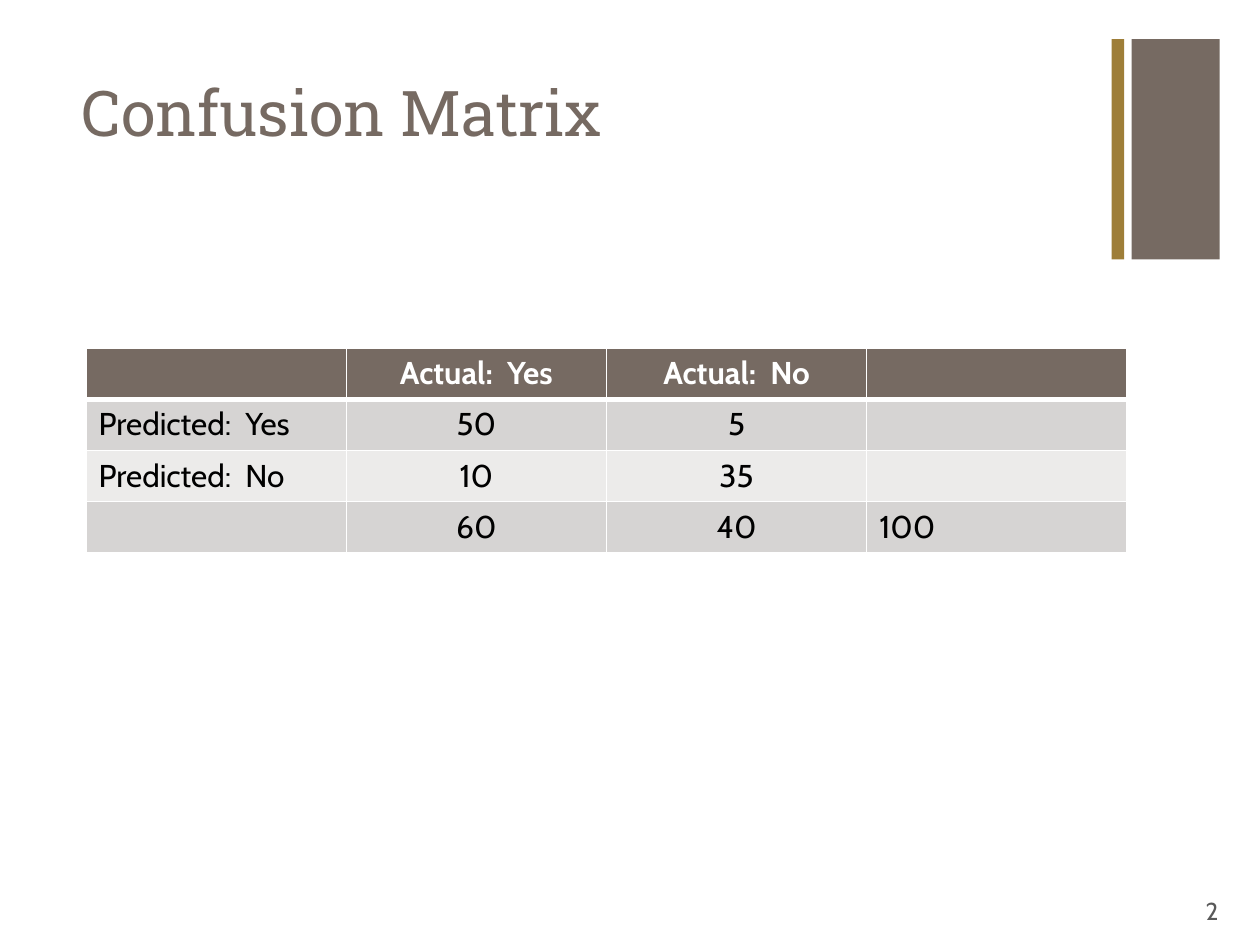
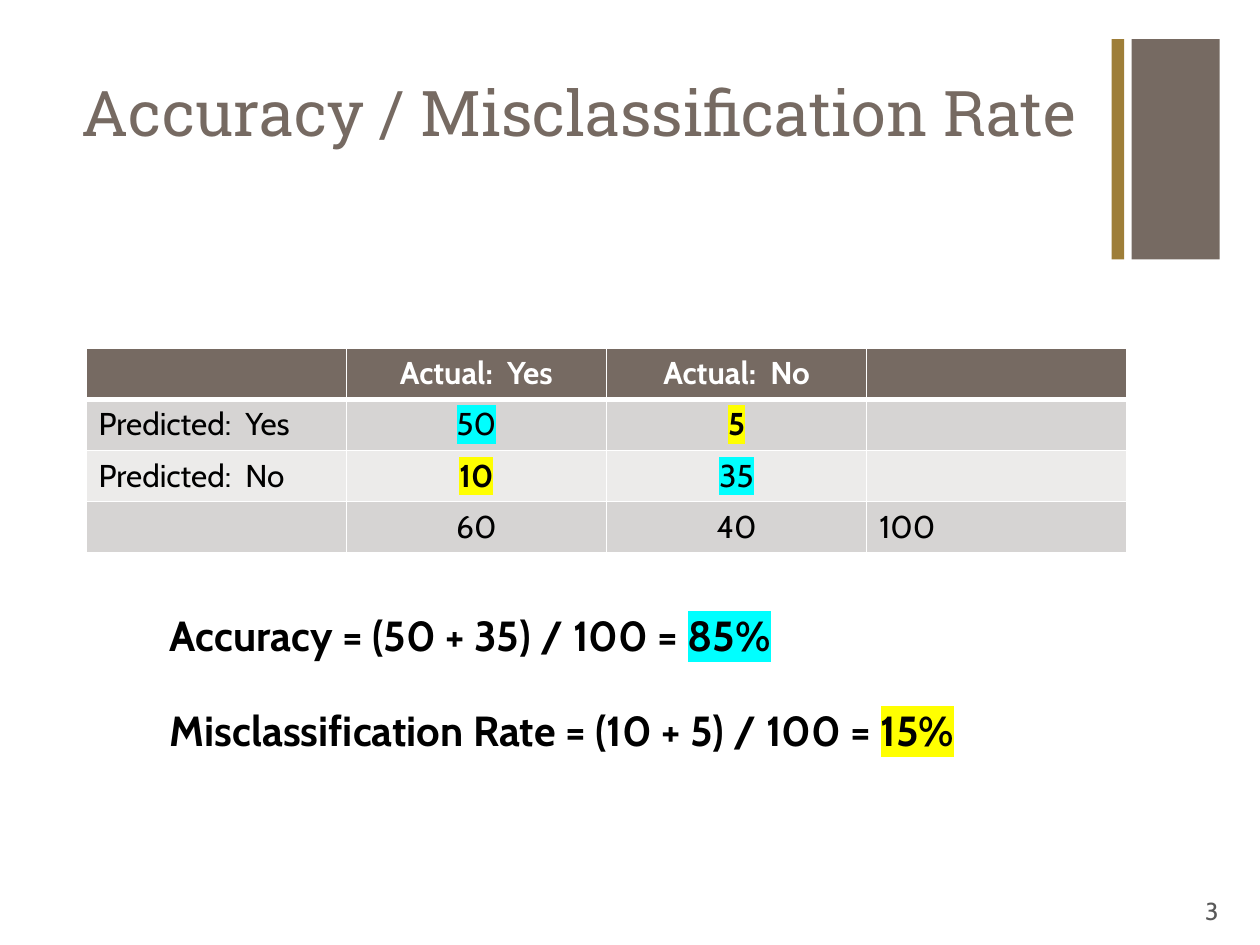
"""Build two slides on the confusion matrix and the rates read from it."""
from dataclasses import dataclass
from lxml.etree import SubElement as Sub
from pptx import Presentation
from pptx.dml.color import RGBColor as Rgb
from pptx.enum.shapes import MSO_SHAPE as Shape
from pptx.enum.text import MSO_ANCHOR as Anchor, PP_ALIGN as Align
from pptx.oxml.ns import qn
from pptx.util import Pt


@dataclass
class Theme:
    brown: str = "766A62"
    gold: str = "9E7E38"
    dark: str = "D6D4D3"
    light: str = "ECEBEA"
    white: str = "FFFFFF"
    black: str = "000000"
    grey: str = "595959"
    right: str = "00FFFF"
    wrong: str = "FFFF00"
    head: str = "Roboto Slab"
    body: str = "Cabin"
    title: int = 36
    rate: int = 24
    cell: int = 18
    page: int = 14


look = Theme()


def write(frame, text, size, color=look.black, face=look.body, bold=False, align=Align.LEFT, mark=None):
    para = frame.paragraphs[0]
    para.alignment = align
    run = para.add_run()
    run.text = text
    font = run.font
    font.size, font.bold = Pt(size), bold
    font.color.rgb = Rgb.from_string(color)
    if mark:
        light = Sub(run._r.get_or_add_rPr(), qn("a:highlight"))
        Sub(light, qn("a:srgbClr"), val=mark)
    font.name = face


def box(slide, left, top, width, height):
    frame = slide.shapes.add_textbox(Pt(left), Pt(top), Pt(width), Pt(height)).text_frame
    frame.word_wrap = True
    return frame


bands = [(646.6, 50.4, look.brown), (635.2, 7.2, look.gold)]
grid = [
    ["", "Actual:  Yes", "Actual:  No", ""],
    ["Predicted:  Yes", "50", "5", ""],
    ["Predicted:  No", "10", "35", ""],
    ["", "60", "40", "100"],
]
marks = {(1, 1): look.right, (2, 2): look.right, (1, 2): look.wrong, (2, 1): look.wrong}
rates = [
    ("Accuracy = (50 + 35) / 100 = ", "85%", look.right),
    ("Misclassification Rate = (10 + 5) / 100 = ", "15%", look.wrong),
]
pages = [
    ("Confusion Matrix", {}, []),
    ("Accuracy / Misclassification Rate", marks, rates),
]

deck = Presentation()
deck.slide_width, deck.slide_height = Pt(720), Pt(540)

for page, (title, tints, lines) in enumerate(pages, 2):
    slide = deck.slides.add_slide(deck.slide_layouts[6])
    for left, width, color in bands:
        band = slide.shapes.add_shape(Shape.RECTANGLE, Pt(left), Pt(22.3), Pt(width), Pt(126))
        band.shadow.inherit = False
        band.fill.solid()
        band.fill.fore_color.rgb = Rgb.from_string(color)
        band.line.fill.background()

    write(box(slide, 39.6, 38.2, 594.7, 87.8), title, look.title, look.brown, look.head)

    table = slide.shapes.add_table(4, 4, Pt(49.2), Pt(198.9), Pt(594.8), Pt(116.8)).table
    for col in table.columns:
        col.width = Pt(148.7)
    for r, row in enumerate(grid):
        table.rows[r].height = Pt(29.2)
        for c, text in enumerate(row):
            cell = table.cell(r, c)
            top = r == 0
            thick = {"lnB": 3} if top else {"lnT": 3} if r == 1 else {}
            for side in ("lnL", "lnR", "lnT", "lnB"):
                edge = Sub(cell._tc.get_or_add_tcPr(), qn(f"a:{side}"), w=str(Pt(thick.get(side, 1))))
                Sub(Sub(edge, qn("a:solidFill")), qn("a:srgbClr"), val=look.white)
            cell.fill.solid()
            fill = look.brown if top else look.dark if r % 2 else look.light
            cell.fill.fore_color.rgb = Rgb.from_string(fill)
            if text:
                tint = tints.get((r, c))
                write(cell.text_frame, text, look.cell, look.white if top else look.black,
                      bold=top or tint == look.wrong, mark=tint,
                      align=Align.CENTER if c in (1, 2) else Align.LEFT)

    foot = box(slide, 659.5, 506.2, 43.9, 28.8)
    foot.vertical_anchor = Anchor.MIDDLE
    write(foot, str(page), look.page, look.grey, align=Align.RIGHT)

    for i, (sum_, share, tint) in enumerate(lines):
        frame = box(slide, 90, 344.9 + 54 * i, 481, 36)
        write(frame, sum_, look.rate, bold=True)
        write(frame, share, look.rate, bold=True, mark=tint)

deck.save("out.pptx")
